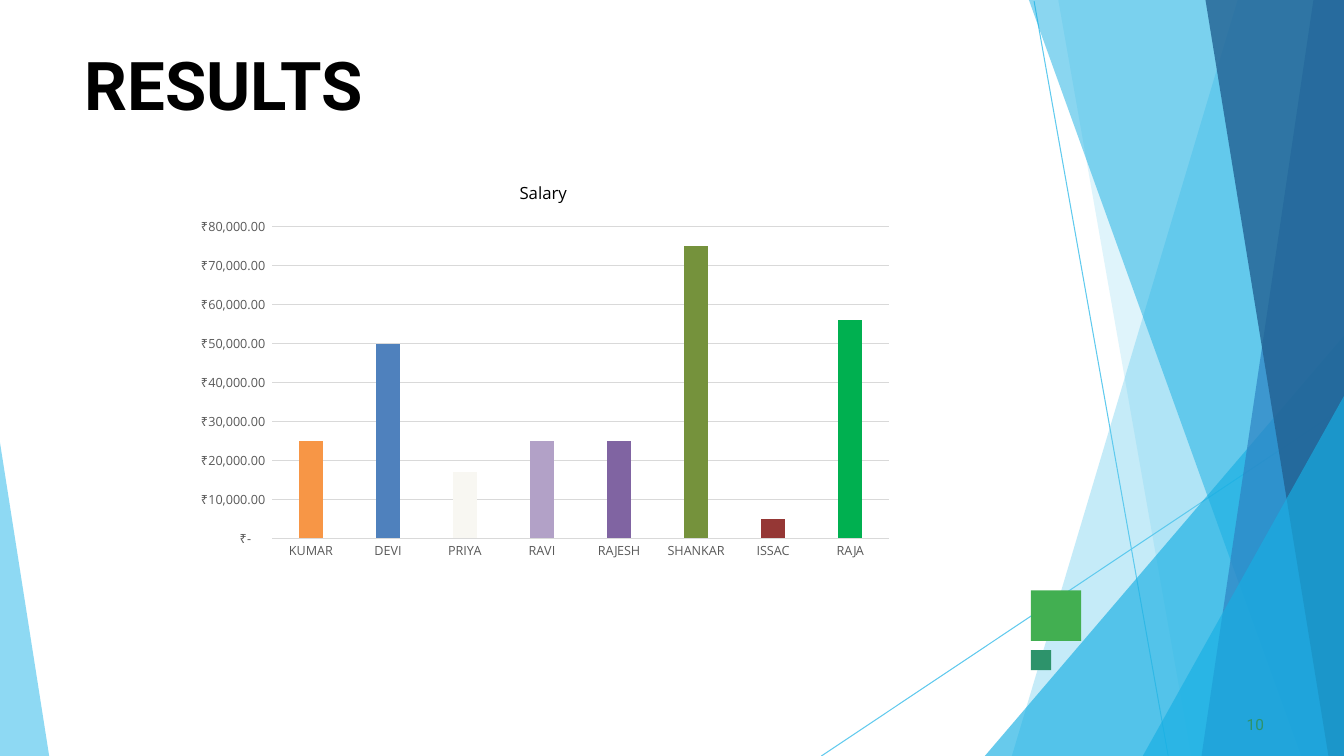
from lxml import etree
from pptx import Presentation
from pptx.chart.data import CategoryChartData
from pptx.dml.color import RGBColor
from pptx.enum.chart import XL_CHART_TYPE, XL_TICK_MARK
from pptx.enum.shapes import MSO_CONNECTOR, MSO_SHAPE
from pptx.enum.text import MSO_ANCHOR, PP_ALIGN
from pptx.oxml.ns import qn
from pptx.util import Cm, Pt

COLUMN = XL_CHART_TYPE.COLUMN_CLUSTERED
NO_TICK = XL_TICK_MARK.NONE
STRAIGHT = MSO_CONNECTOR.STRAIGHT
RECTANGLE = MSO_SHAPE.RECTANGLE
TOP = MSO_ANCHOR.TOP
LEFT = PP_ALIGN.LEFT

WIDTH, HEIGHT = 33.87, 19.05
HEADING_FONT = "Roboto"
CHART_FONT = "Open Sans"
RUPEE_FORMAT = '_("₹"* #,##0.00_);_("₹"* (#,##0.00);_("₹"* "-"??_);_(@_)'

COLORS = {
    "black": "000000",
    "sky": "5FCAEE",
    "cyan": "17AFE3",
    "blue": "2D83C3",
    "navy": "226192",
    "green": "42AF51",
    "teal": "2D936B",
    "label": "595959",
    "grid": "D9D9D9",
    "series": "4F81BD",
}

SALARIES = [
    ("KUMAR", 25000, "F79646"),
    ("DEVI", 50000, "4F81BD"),
    ("PRIYA", 17000, "F8F7F2"),
    ("RAVI", 25000, "B2A1C7"),
    ("RAJESH", 25000, "8064A2"),
    ("SHANKAR", 75000, "75923C"),
    ("ISSAC", 5000, "953735"),
    ("RAJA", 56000, "00B050"),
]

TOP_RIGHT, BOTTOM_RIGHT = (WIDTH, 0), (WIDTH, HEIGHT)
FACETS = [
    ([TOP_RIGHT, (31.19, 0), (25.5, HEIGHT), BOTTOM_RIGHT], "sky", 36),
    ([TOP_RIGHT, (26.67, 0), (30.02, HEIGHT), BOTTOM_RIGHT], "sky", 20),
    ([(WIDTH, 8.46), (24.82, HEIGHT), BOTTOM_RIGHT], "cyan", 65),
    ([TOP_RIGHT, (25.93, 0), (32.79, HEIGHT), BOTTOM_RIGHT], "cyan", 50),
    ([TOP_RIGHT, (33.1, 0), (30.28, HEIGHT), BOTTOM_RIGHT], "blue", 70),
    ([TOP_RIGHT, (30.38, 0), (33.48, HEIGHT), BOTTOM_RIGHT], "navy", 80),
    ([(WIDTH, 9.98), (28.8, HEIGHT), BOTTOM_RIGHT], "cyan", 65),
    ([(0, 11.15), (0, HEIGHT), (1.24, HEIGHT)], "sky", 70),
]


def rgb(name):
    return RGBColor.from_string(COLORS.get(name, name))


class SlideBuilder:
    def __init__(self, slide):
        self.slide = slide
        self.shapes = slide.shapes

    def line(self, start, end, color):
        connector = self.shapes.add_connector(STRAIGHT, *map(Cm, start + end))
        connector.line.color.rgb = rgb(color)
        connector.line.width = Pt(0.75)
        etree.SubElement(connector._element.spPr, qn("a:effectLst"))

    def paint(self, shape, color):
        shape.shadow.inherit = False
        shape.fill.solid()
        shape.fill.fore_color.rgb = rgb(color)
        shape.line.fill.background()

    def facet(self, points, color, opacity):
        corners = [(Cm(x), Cm(y)) for x, y in points]
        builder = self.shapes.build_freeform(*corners[0])
        builder.add_line_segments(corners[1:], close=True)
        shape = builder.convert_to_shape()
        self.paint(shape, color)
        tone = shape._element.spPr.find(qn("a:solidFill"))[0]
        etree.SubElement(tone, qn("a:alpha"), val=str(opacity * 1000))

    def square(self, left, top, side, color):
        shape = self.shapes.add_shape(RECTANGLE, Cm(left), Cm(top), Cm(side), Cm(side))
        self.paint(shape, color)

    def font(self, font, name, size, color, bold=False):
        font.name = name
        font.size = Pt(size)
        font.bold = bold
        font.color.rgb = rgb(color)

    def set_text(self, box, text, indent, size, color, bold=False):
        frame = box.text_frame
        frame.text = text
        frame.word_wrap = True
        frame.vertical_anchor = TOP
        frame.margin_left = Cm(indent)
        frame.margin_top = Cm(0.03)
        frame.margin_right = frame.margin_bottom = 0
        para = frame.paragraphs[0]
        para.alignment = LEFT
        para.line_spacing = 1.0
        para.space_before = Pt(0)
        self.font(para.runs[0].font, HEADING_FONT, size, color, bold)

    def title(self, text, left, top, width, height):
        box = self.shapes.title
        box.left, box.top, box.width, box.height = map(Cm, (left, top, width, height))
        self.set_text(box, text, 0.03, 48, "black", True)

    def label(self, text, left, top, width, height):
        box = self.shapes.add_textbox(*map(Cm, (left, top, width, height)))
        self.set_text(box, text, 0.1, 11, "teal")

    def axis(self, axis):
        axis.major_tick_mark = axis.minor_tick_mark = NO_TICK
        self.font(axis.tick_labels.font, CHART_FONT, 9, "label")

    def column_chart(self, title, rows, left, top, width, height):
        data = CategoryChartData()
        data.categories = [name for name, _, _ in rows]
        data.add_series(title, [value for _, value, _ in rows])
        frame = self.shapes.add_chart(COLUMN, *map(Cm, (left, top, width, height)), data)
        chart = frame.chart
        self.font(chart.font, CHART_FONT, 10, "black")
        chart.has_legend = False
        chart.has_title = True
        heading = chart.chart_title.text_frame
        heading.text = title
        self.font(heading.paragraphs[0].runs[0].font, CHART_FONT, 12, "black")

        names, values = chart.category_axis, chart.value_axis
        self.axis(names)
        names.format.line.color.rgb = rgb("grid")
        names.format.line.width = Pt(1)
        self.axis(values)
        values.format.line.fill.background()
        values.minimum_scale, values.maximum_scale = 0, 80000
        values.major_unit = 10000
        values.tick_labels.number_format = RUPEE_FORMAT
        values.tick_labels.number_format_is_linked = False
        values.major_gridlines.format.line.color.rgb = rgb("grid")
        values.major_gridlines.format.line.width = Pt(1)

        plot = chart.plots[0]
        plot.gap_width, plot.overlap = 219, -27
        plot.vary_by_categories = False
        series = plot.series[0]
        series.invert_if_negative = False
        series.format.fill.solid()
        series.format.fill.fore_color.rgb = rgb("series")
        for index, (_, _, color) in enumerate(rows):
            fill = series.points[index].format.fill
            fill.solid()
            fill.fore_color.rgb = rgb(color)


def main():
    deck = Presentation()
    deck.slide_width, deck.slide_height = Cm(WIDTH), Cm(HEIGHT)
    page = SlideBuilder(deck.slides.add_slide(deck.slide_layouts[5]))
    page.line((26.06, 0.03), (29.44, HEIGHT), "sky")
    page.line((WIDTH, 10.26), (20.7, HEIGHT), "sky")
    for points, color, opacity in FACETS:
        page.facet(points, color, opacity)
    page.square(25.98, 14.88, 1.27, "green")
    page.square(25.98, 16.38, 0.51, "teal")
    page.title("RESULTS", 2.11, 1.07, 7.82, 2.11)
    page.label("10", 31.32, 17.98, 0.64, 0.53)
    page.column_chart("Salary", SALARIES, 4.62, 4.11, 18.14, 10.21)
    deck.save("out.pptx")


if __name__ == "__main__":
    main()
